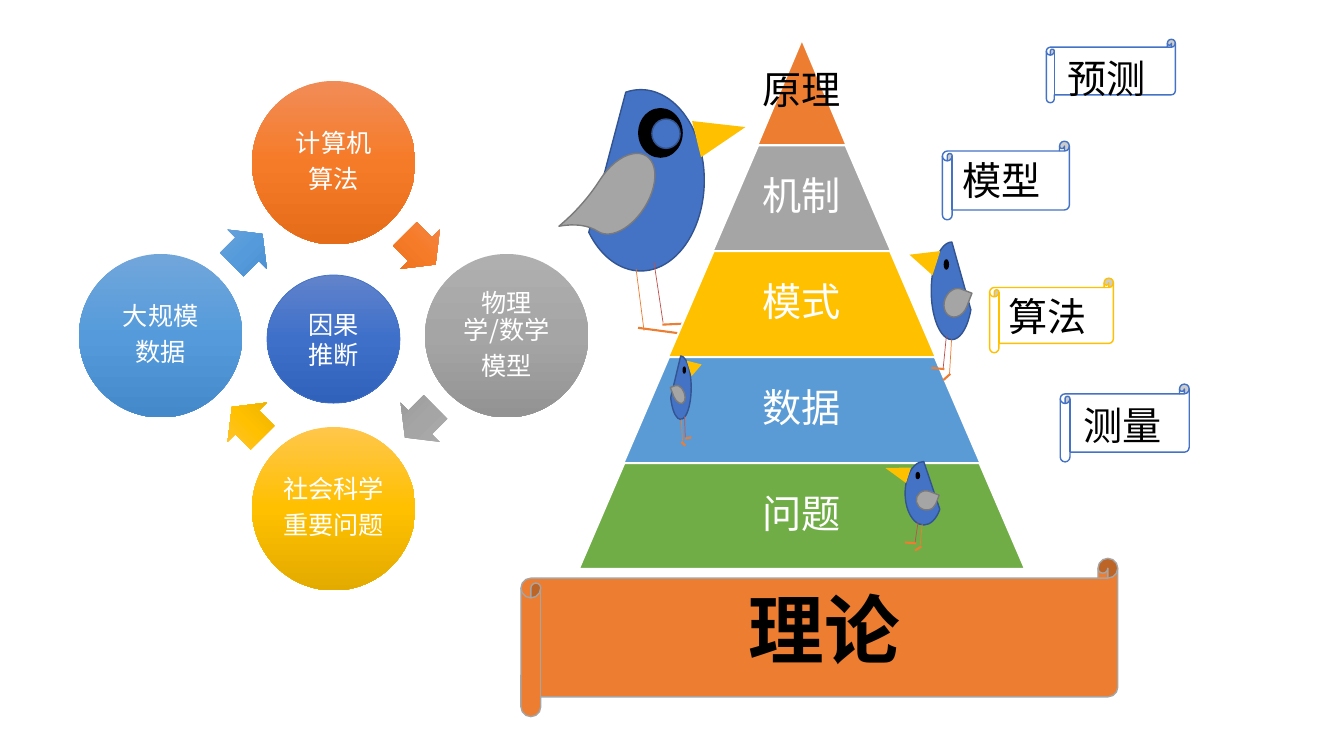
"""Build a slide with a causal inference cycle, a theory pyramid and four birds."""
from copy import deepcopy
from lxml.etree import SubElement
from pptx import Presentation
from pptx.dml.color import RGBColor as Rgb
from pptx.enum.shapes import MSO_CONNECTOR as Connector, MSO_SHAPE as Shape
from pptx.enum.text import MSO_ANCHOR as Anchor, PP_ALIGN as Align
from pptx.oxml.ns import qn
from pptx.util import Cm, Pt

FONT = "Noto Sans CJK SC"
COLORS = {
    "white": "FFFFFF", "black": "000000", "blue": "4472C4", "navy": "325491",
    "orange": "ED7D31", "gold": "FFC000", "gray": "A5A5A5", "dark gray": "7A7A7A",
    "sky": "5B9BD5", "green": "70AD47", "red": "C0504D",
}
GRADIENTS = {
    "orange": ("F18C57", "F67B28", "E56C19"),
    "gray": ("AFAFAF", "A5A5A5", "939393"),
    "gold": ("FFC64B", "FFC000", "E3AB00"),
    "sky": ("71A6DB", "559BDB", "448ACA"),
    "blue": ("6183CB", "3E70CA", "3062BB"),
}

deck = Presentation()
deck.slide_width, deck.slide_height = Cm(33.87), Cm(19.05)
page = deck.slides.add_slide(deck.slide_layouts[6])


def add_figure(kind, box, fill, line=None, width=1, rotation=0, flip="", gradient=False):
    figure = page.shapes.add_shape(kind, *map(Cm, box))
    figure.shadow.inherit = False
    figure.rotation = rotation
    if flip:
        figure._element.spPr.xfrm.set(flip, "1")
    if gradient:
        figure.fill.gradient()
        figure.fill.gradient_angle = 270
        stop_list = figure._element.spPr.find(".//" + qn("a:gsLst"))
        stop_list.append(deepcopy(stop_list[-1]))
        for stop, position, color in zip(figure.fill.gradient_stops, (0, 0.5, 1), GRADIENTS[fill]):
            stop.position = position
            stop.color.rgb = Rgb.from_string(color)
    else:
        figure.fill.solid()
        figure.fill.fore_color.rgb = Rgb.from_string(COLORS[fill])
    if line:
        figure.line.color.rgb = Rgb.from_string(COLORS[line])
        figure.line.width = Pt(width)
    else:
        figure.line.fill.background()
    return figure


def write_text(box, text, size, color, align=Align.CENTER, anchor=Anchor.MIDDLE,
               insets=(0.25, 0.13), spaced=False):
    frame = box.text_frame
    frame.text = text
    frame.word_wrap = True
    frame.vertical_anchor = anchor
    frame.margin_left = frame.margin_right = Cm(insets[0])
    frame.margin_top = frame.margin_bottom = Cm(insets[1])
    for para in frame.paragraphs:
        para.alignment = align
        if spaced:
            para.line_spacing = 0.9
            para.space_after = Pt(size * 0.35)
        for span in para.runs:
            span.font.size = Pt(size)
            span.font.color.rgb = Rgb.from_string(COLORS[color])
            span.font.name = FONT
            SubElement(span.font._element, qn("a:ea"), typeface=FONT)


birds = [
    {"body": (14.55, 2.26, 3.2, 4.57), "body flip": "flipH", "cut": 167.8,
     "beak": (17.7, 2.72, 0.94, 1.27), "beak turn": 76.1, "eye": (16.1, 2.74, 1.09, 1.22),
     "legs": [(17.83, 8.13, 16.69, 8.18), (17.2, 8.41, 16.08, 8.26),
              (16.48, 6.6, 16.71, 8.13), (16.03, 6.78, 16.23, 8.33)],
     "wing": (14.55, 4.22, 2.26, 1.32), "wing turn": 122.5, "wing flip": "flipV", "tip": 1.37,
     "pupil": (16.43, 3, 0.71, 0.74)},
    {"body": (23.47, 6.1, 1.04, 2.46), "beak": (22.94, 6.17, 0.64, 0.71), "beak turn": 287.5,
     "eye": (23.8, 6.55, 0.1, 0.23),
     "legs": [(23.47, 9.27, 23.8, 9.3), (23.77, 9.58, 23.95, 9.42),
              (23.85, 8.46, 23.77, 9.27), (23.98, 8.56, 23.93, 9.4)],
     "wing": (23.8, 7.26, 0.58, 0.74), "wing turn": 21.1},
    {"body": (22.81, 11.63, 0.94, 1.6), "beak": (22.4, 11.58, 0.41, 0.61), "beak turn": 287.5,
     "eye": (23.09, 11.91, 0.08, 0.15),
     "legs": [(22.81, 13.67, 23.09, 13.69), (23.06, 13.87, 23.22, 13.77),
              (23.14, 13.13, 23.06, 13.67), (23.24, 13.21, 23.19, 13.74)],
     "wing": (23.09, 12.37, 0.51, 0.48), "wing turn": 21.1},
    {"body": (16.89, 8.97, 0.53, 1.6), "body flip": "flipH",
     "beak": (17.32, 9.07, 0.41, 0.33), "beak turn": 72.5, "eye": (17.22, 9.25, 0.05, 0.15),
     "legs": [(17.42, 11.02, 17.27, 11.05), (17.27, 11.23, 17.17, 11.13),
              (17.25, 10.49, 17.27, 11.02), (17.17, 10.57, 17.2, 11.1)],
     "wing": (16.97, 9.7, 0.28, 0.48), "wing turn": 338.9, "wing flip": "flipH"},
]
leg_styles = [("orange", 1.5), ("orange", 1.5), ("red", 0.5), ("orange", 0.5)]
bird_parts = []
for bird in birds:
    first_part = len(page.shapes)
    body = add_figure(Shape.CHORD, bird["body"], "blue", "navy", flip=bird.get("body flip", ""))
    body.adjustments[0], body.adjustments[1] = 27, bird.get("cut", 162)
    add_figure(Shape.FLOWCHART_EXTRACT, bird["beak"], "gold", rotation=bird["beak turn"])
    add_figure(Shape.OVAL, bird["eye"], "black", "black")
    for ends, (color, width) in zip(bird["legs"], leg_styles):
        leg = page.shapes.add_connector(Connector.STRAIGHT, *map(Cm, ends))
        leg.line.color.rgb = Rgb.from_string(COLORS[color])
        leg.line.width = Pt(width)
        SubElement(leg._element.spPr, qn("a:effectLst"))
    wing = add_figure(Shape.TEAR, bird["wing"], "gray", "dark gray",
                      rotation=bird["wing turn"], flip=bird.get("wing flip", ""))
    wing.adjustments[0] = bird.get("tip", 1)
    if "pupil" in bird:
        add_figure(Shape.OVAL, bird["pupil"], "blue", "navy")
    bird_parts.append([part._element for part in list(page.shapes)[first_part:]])

layers = [("原理", "orange", "black"), ("机制", "gray", "white"), ("模式", "gold", "white"),
          ("数据", "sky", "white"), ("问题", "green", "white")]
layer_height, width_step, pyramid_center, pyramid_top = 2.67, 2.25, 20.21, 0.99
for row, (name, fill, color) in enumerate(layers):
    width = width_step * (row + 1)
    top = pyramid_top + layer_height * row
    layer = add_figure(Shape.TRAPEZOID, (pyramid_center - width / 2, top, width, layer_height),
                       fill, "white", 1.5)
    layer.adjustments[0] = 0.43 if row else 0.5
    label_width = max(width * 0.65, width_step)
    label = page.shapes.add_textbox(Cm(pyramid_center - label_width / 2), Cm(top),
                                    Cm(label_width), Cm(layer_height))
    write_text(label, name, 28, color, insets=(0.1, 0.1), spaced=True)

for parts in bird_parts[1:]:
    for part in parts:
        page.shapes._spTree.append(part)

scrolls = [
    ("算法", (24.94, 7.01, 3.12, 1.88), "gold", (0.25, 0.13)),
    ("模型", (23.75, 3.56, 3.2, 1.98), "blue", (0.25, 0.13)),
    ("测量", (26.72, 9.68, 3.25, 1.96), "blue", (0.33, 0.18)),
    ("预测", (26.37, 0.99, 3.25, 1.6), "blue", (0.33, 0.18)),
]
for name, box, line, insets in scrolls:
    scroll = add_figure(Shape.HORIZONTAL_SCROLL, box, "white", line)
    write_text(scroll, name, 28, "black", Align.LEFT, Anchor.TOP, insets)

theory = add_figure(Shape.HORIZONTAL_SCROLL, (13.13, 14.07, 15.04, 3.99), "orange", "gray")
write_text(theory, "理论", 54, "black", anchor=Anchor.TOP)
theory.text_frame.paragraphs[0].runs[0].font.bold = True

steps = [("计算机\n算法", "orange", 0, -1), ("物理学/数学\n模型", "gray", 1, 0),
         ("社会科学\n重要问题", "gold", 0, 1), ("大规模\n数据", "sky", -1, 0)]
center_x, center_y, radius, diameter = 8.41, 8.46, 4.36, 4.12
arrow_length, arrow_width = 1.09, 1.4
for number, (name, fill, across, down) in enumerate(steps):
    circle_box = (center_x + radius * across - diameter / 2,
                  center_y + radius * down - diameter / 2, diameter, diameter)
    circle = add_figure(Shape.OVAL, circle_box, fill, gradient=True)
    write_text(circle, name, 18, "white", insets=(0.08, 0.08), spaced=True)
    next_across, next_down = steps[(number + 1) % len(steps)][2:]
    arrow_box = (center_x + radius * (across + next_across) / 2 - arrow_length / 2,
                 center_y + radius * (down + next_down) / 2 - arrow_width / 2,
                 arrow_length, arrow_width)
    arrow = add_figure(Shape.RIGHT_ARROW, arrow_box, fill, rotation=45 + 90 * number, gradient=True)
    arrow.adjustments[0], arrow.adjustments[1] = 0.6, 0.5

core = add_figure(Shape.OVAL, (6.73, 6.93, 3.35, 3.23), "blue", "blue", 0.5, gradient=True)
write_text(core, "因果推断", 18, "white")

deck.save("out.pptx")
